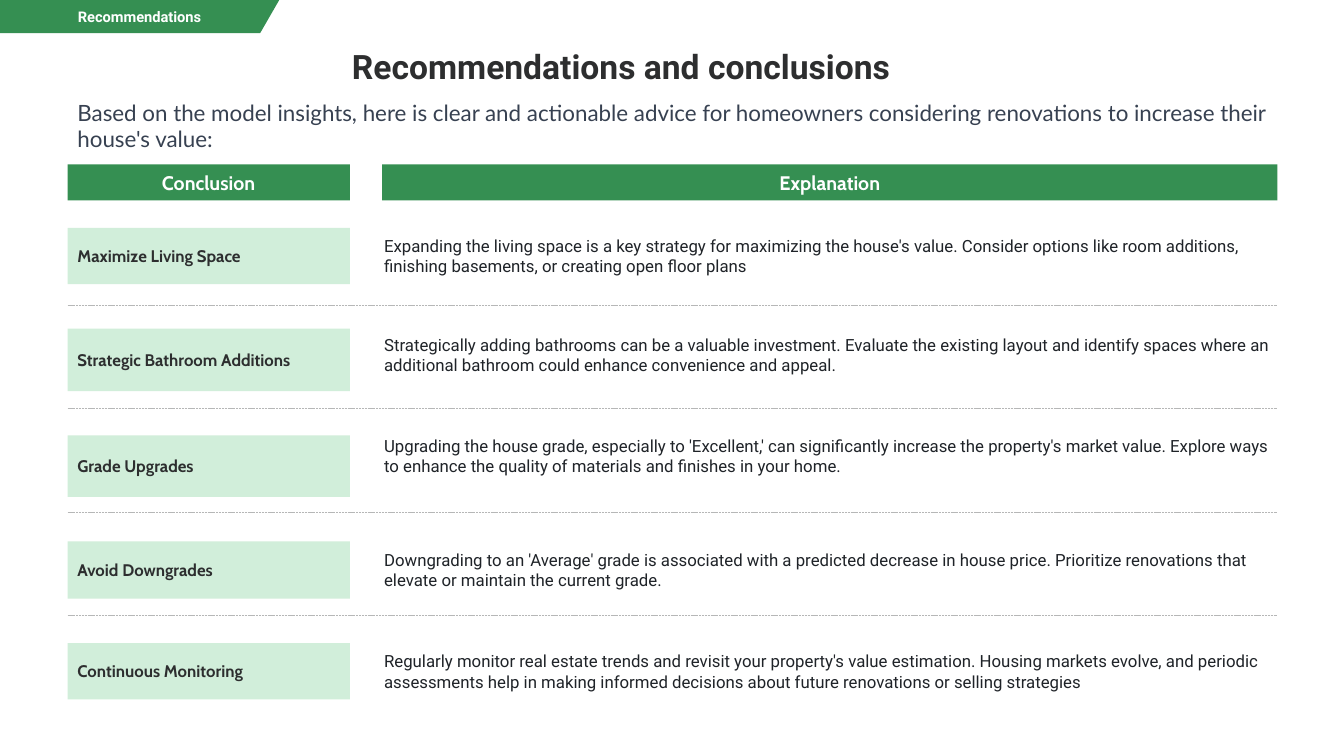
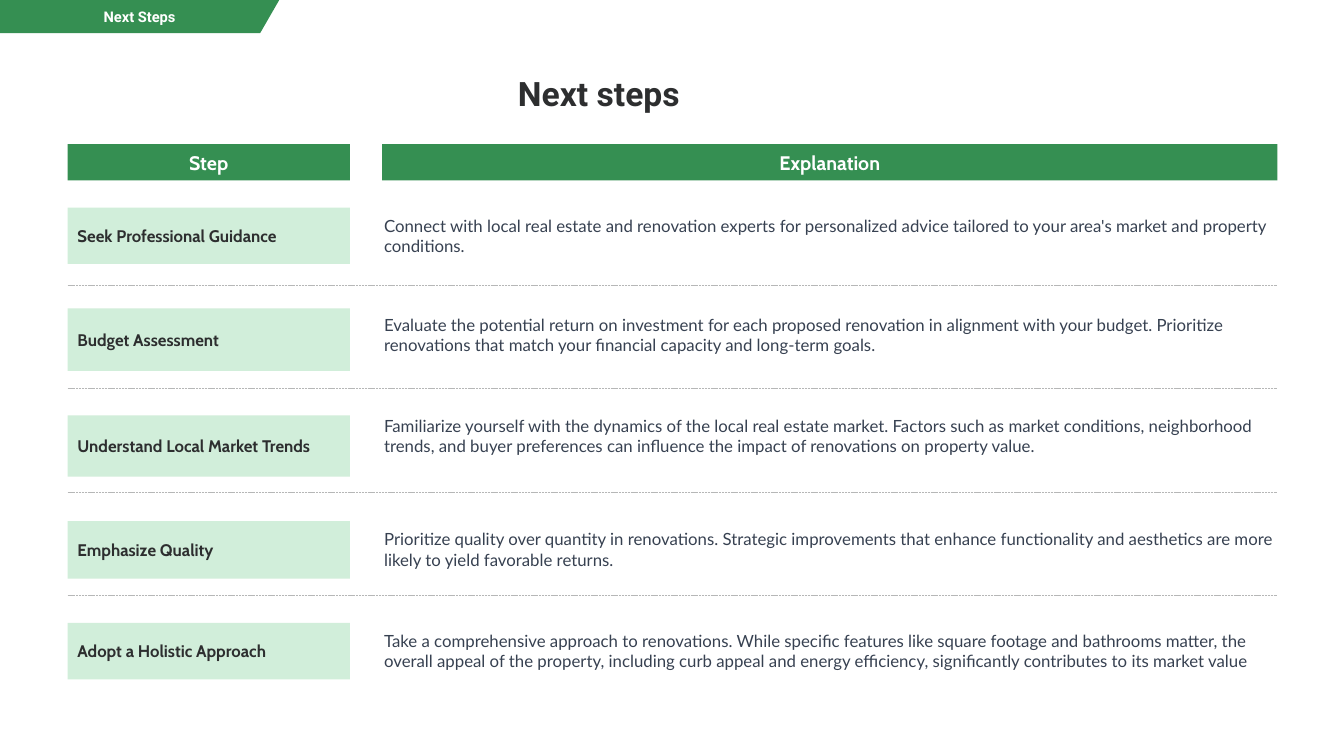
from dataclasses import dataclass

from pptx import Presentation
from pptx.dml.color import RGBColor
from pptx.enum.dml import MSO_LINE
from pptx.enum.shapes import MSO_CONNECTOR, MSO_SHAPE
from pptx.enum.text import MSO_ANCHOR, PP_ALIGN
from pptx.oxml.xmlchemy import OxmlElement
from pptx.util import Inches, Pt

RECTANGLE = MSO_SHAPE.RECTANGLE
STRAIGHT = MSO_CONNECTOR.STRAIGHT
SYSTEM_DASH = MSO_LINE.SQUARE_DOT
TOP, MIDDLE = MSO_ANCHOR.TOP, MSO_ANCHOR.MIDDLE
LEFT, CENTER = PP_ALIGN.LEFT, PP_ALIGN.CENTER


@dataclass(frozen=True)
class TextStyle:
    font: str
    size: float
    color: str
    bold: bool = False
    align: PP_ALIGN = LEFT


class Theme:
    GREEN = "358F52"
    MINT = "D1EEDA"
    DIVIDER = "B6B7B7"
    TAB = TextStyle("Roboto", 10.5, "FFFFFF", True, CENTER)
    TITLE = TextStyle("Roboto", 24, "2D2E2F", True, CENTER)
    INTRO = TextStyle("Lato", 16, "374151")
    HEADER = TextStyle("Cabin", 14, "FFFFFF", True, CENTER)
    LABEL = TextStyle("Cabin", 12, "2D2E2F", True)
    BODY_ROBOTO = TextStyle("Roboto", 12, "1F2328")
    BODY_LATO = TextStyle("Lato", 12, "374151")


# Content
SLIDES = [
    {
        "tab": "Recommendations",
        "title": "Recommendations and conclusions",
        "title_at": (0.89, 0.46),
        "intro": "Based on the model insights, here is clear and actionable advice for "
                 "homeowners considering renovations to increase their house's value:",
        "headers": ("Conclusion", "Explanation"),
        "header_top": 1.63,
        "body_style": Theme.BODY_ROBOTO,
        "rows": [
            ("Maximize Living Space",
             "Expanding the living space is a key strategy for maximizing the house's value. "
             "Consider options like room additions, finishing basements, or creating open "
             "floor plans"),
            ("Strategic Bathroom Additions",
             "Strategically adding bathrooms can be a valuable investment. Evaluate the "
             "existing layout and identify spaces where an additional bathroom could enhance "
             "convenience and appeal."),
            ("Grade Upgrades",
             "Upgrading the house grade, especially to 'Excellent,' can significantly increase "
             "the property's market value. Explore ways to enhance the quality of materials "
             "and finishes in your home."),
            ("Avoid Downgrades",
             "Downgrading to an 'Average' grade is associated with a predicted decrease in "
             "house price. Prioritize renovations that elevate or maintain the current grade."),
            ("Continuous Monitoring",
             "Regularly monitor real estate trends and revisit your property's value "
             "estimation. Housing markets evolve, and periodic assessments help in making "
             "informed decisions about future renovations or selling strategies"),
        ],
    },
    {
        "tab": "Next Steps",
        "title": "Next steps",
        "title_at": (0.67, 0.72),
        "intro": None,
        "headers": ("Step", "Explanation"),
        "header_top": 1.43,
        "body_style": Theme.BODY_LATO,
        "rows": [
            ("Seek Professional Guidance",
             "Connect with local real estate and renovation experts for personalized advice "
             "tailored to your area's market and property conditions."),
            ("Budget Assessment",
             "Evaluate the potential return on investment for each proposed renovation in "
             "alignment with your budget. Prioritize renovations that match your financial "
             "capacity and long-term goals."),
            ("Understand Local Market Trends",
             "Familiarize yourself with the dynamics of the local real estate market. Factors "
             "such as market conditions, neighborhood trends, and buyer preferences can "
             "influence the impact of renovations on property value."),
            ("Emphasize Quality",
             "Prioritize quality over quantity in renovations. Strategic improvements that "
             "enhance functionality and aesthetics are more likely to yield favorable returns."),
            ("Adopt a Holistic Approach",
             "Take a comprehensive approach to renovations. While specific features like "
             "square footage and bathrooms matter, the overall appeal of the property, "
             "including curb appeal and energy efficiency, significantly contributes to its "
             "market value"),
        ],
    },
]

# Layout in inches; row and divider tops count from the header's top
MARGIN, CONTENT_WIDTH = 0.67, 12
COLUMNS = ((MARGIN, 2.8), (3.79, 8.88))  # left, width
HEADER_HEIGHT = 0.36
BODY_LEFT, BODY_WIDTH, BODY_HEIGHT = 3.81, 8.87, 0.4
# label top, label height, explanation top
ROW_LAYOUT = [
    (0.63, 0.56, 0.71),
    (1.63, 0.62, 1.69),
    (2.69, 0.61, 2.69),
    (3.74, 0.57, 3.82),
    (4.75, 0.56, 4.83),
]
FIRST_DIVIDER, DIVIDER_PITCH = 1.4, 1.025
TITLE_SIZE = (10.54, 0.61)
INTRO_BOX = (MARGIN, 0.93, CONTENT_WIDTH, 0.64)
TAB_OUTLINE = [(0, 0), (0, 0.33), (2.58, 0.33), (2.77, 0)]
DEFAULT_INSETS = (0.1, 0.05)


# Helpers
def write(shape, text, style, anchor=TOP, insets=DEFAULT_INSETS):
    frame = shape.text_frame
    frame.text = text
    frame.word_wrap = True
    frame.vertical_anchor = anchor
    frame.margin_left = frame.margin_right = Inches(insets[0])
    frame.margin_top = frame.margin_bottom = Inches(insets[1])
    paragraph = frame.paragraphs[0]
    paragraph.alignment = style.align
    font = paragraph.runs[0].font
    font.name = style.font
    font.size = Pt(style.size)
    font.bold = style.bold
    font.color.rgb = RGBColor.from_string(style.color)


def paint(shape, color):
    shape.shadow.inherit = False
    shape.fill.solid()
    shape.fill.fore_color.rgb = RGBColor.from_string(color)
    shape.line.fill.background()


def add_text(slide, box, text, style, **options):
    write(slide.shapes.add_textbox(*map(Inches, box)), text, style, **options)


def add_block(slide, box, color, text, style, **options):
    block = slide.shapes.add_shape(RECTANGLE, *map(Inches, box))
    paint(block, color)
    write(block, text, style, anchor=MIDDLE, **options)


def add_divider(slide, top):
    ends = (MARGIN, top, MARGIN + CONTENT_WIDTH, top)
    divider = slide.shapes.add_connector(STRAIGHT, *map(Inches, ends))
    divider.line.color.rgb = RGBColor.from_string(Theme.DIVIDER)
    divider.line.width = Pt(0.5)
    divider.line.dash_style = SYSTEM_DASH
    divider._element.spPr.append(OxmlElement("a:effectLst"))


def add_tab(slide, text):
    points = [(Inches(x), Inches(y)) for x, y in TAB_OUTLINE]
    builder = slide.shapes.build_freeform(*points[0])
    builder.add_line_segments(points[1:], close=True)
    tab = builder.convert_to_shape()
    paint(tab, Theme.GREEN)
    write(tab, text, Theme.TAB, anchor=MIDDLE)


def build_slide(presentation, content):
    slide = presentation.slides.add_slide(presentation.slide_layouts[6])
    header_top = content["header_top"]

    # Tab, title and introduction
    add_tab(slide, content["tab"])
    add_text(slide, content["title_at"] + TITLE_SIZE, content["title"], Theme.TITLE,
             insets=(0, 0))
    if content["intro"]:
        add_text(slide, INTRO_BOX, content["intro"], Theme.INTRO)

    # Column headers
    for (left, width), header in zip(COLUMNS, content["headers"]):
        add_block(slide, (left, header_top, width, HEADER_HEIGHT), Theme.GREEN, header,
                  Theme.HEADER, insets=(0.01, 0))

    # Rows with dividers between them
    label_left, label_width = COLUMNS[0]
    for index, (label, explanation) in enumerate(content["rows"]):
        label_top, label_height, body_top = ROW_LAYOUT[index]
        add_block(slide, (label_left, header_top + label_top, label_width, label_height),
                  Theme.MINT, label, Theme.LABEL)
        add_text(slide, (BODY_LEFT, header_top + body_top, BODY_WIDTH, BODY_HEIGHT),
                 explanation, content["body_style"], insets=(0, 0))
        if index < len(content["rows"]) - 1:
            add_divider(slide, header_top + FIRST_DIVIDER + index * DIVIDER_PITCH)


def main():
    presentation = Presentation()
    presentation.slide_width = Inches(13.33)
    presentation.slide_height = Inches(7.5)
    for content in SLIDES:
        build_slide(presentation, content)
    presentation.save("out.pptx")


if __name__ == "__main__":
    main()
